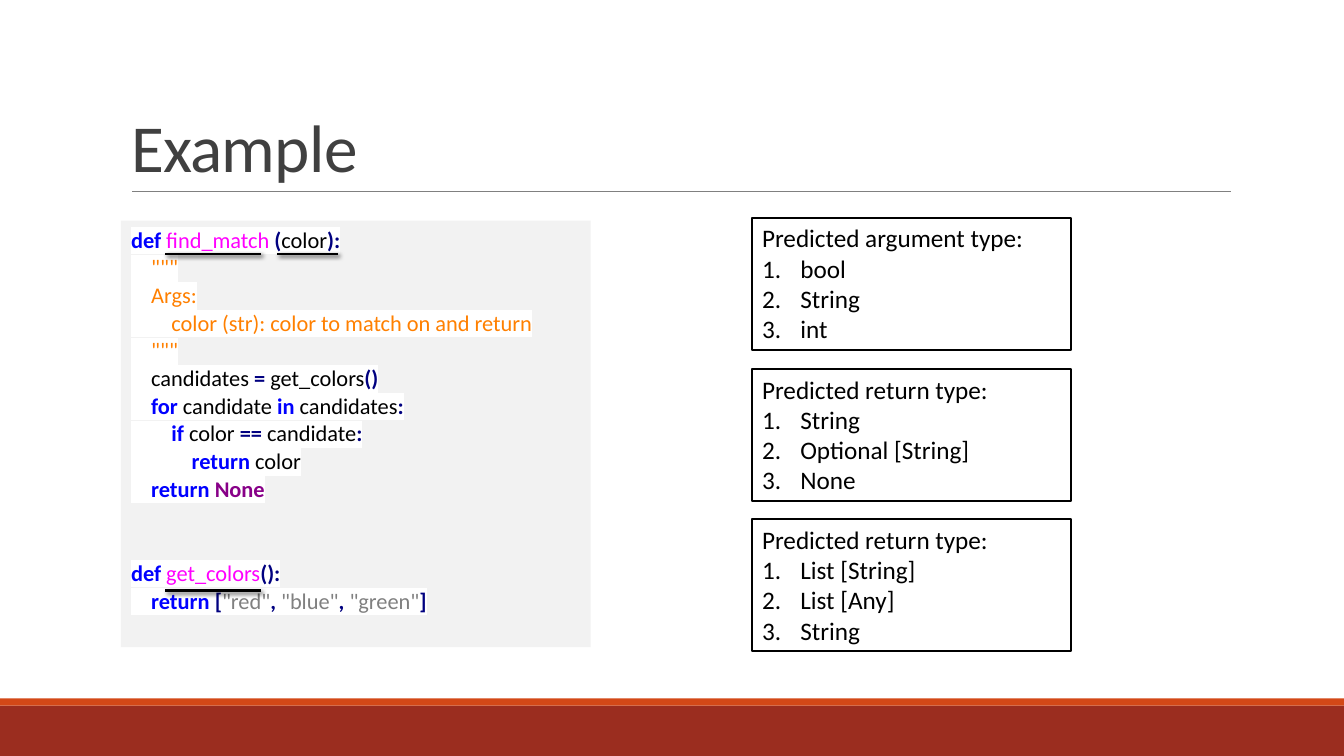
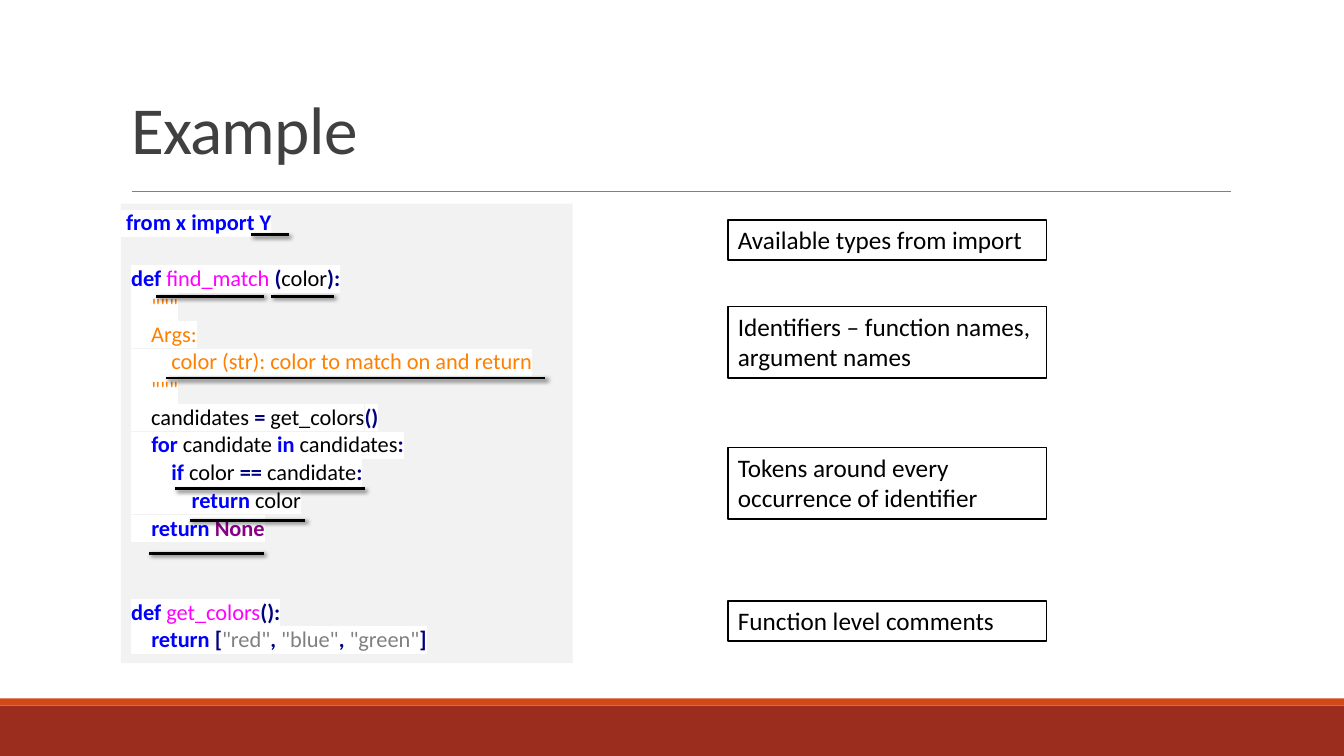
"""Build two slides that show type prediction on a Python example."""
from lxml.etree import SubElement
from pptx import Presentation
from pptx.dml.color import RGBColor
from pptx.enum.shapes import MSO_CONNECTOR, MSO_SHAPE
from pptx.enum.text import MSO_ANCHOR, MSO_AUTO_SIZE, PP_ALIGN
from pptx.oxml.ns import qn
from pptx.util import Inches, Pt

FONT = "Calibri"
WHITE = RGBColor(0xFF, 0xFF, 0xFF)
BLACK = RGBColor(0x00, 0x00, 0x00)
BRICK = RGBColor(0x9B, 0x2D, 0x1F)
ORANGE = RGBColor(0xD3, 0x48, 0x17)
RULE_GREY = RGBColor(0x80, 0x80, 0x80)
TITLE_GREY = RGBColor(0x40, 0x40, 0x40)
CODE_GREY = RGBColor(0xF2, 0xF2, 0xF2)
BLUE = RGBColor(0x00, 0x00, 0xFF)
NAVY = RGBColor(0x00, 0x00, 0x80)
MAGENTA = RGBColor(0xFF, 0x00, 0xFF)
AMBER = RGBColor(0xFF, 0x80, 0x00)
PURPLE = RGBColor(0x88, 0x00, 0x88)

KEYWORD = (BLUE, True)
SIGN = (NAVY, True)
PLAIN = (BLACK, False)
FUNCTION = (MAGENTA, False)
DOC = (AMBER, False)
CONSTANT = (PURPLE, True)
STRING = (RULE_GREY, False)

CODE_PITCH = 20.1

find_match_code = [
    [("def", KEYWORD), (" ", PLAIN), ("find_match ", FUNCTION), ("(", SIGN),
     ("color", PLAIN), ("):", SIGN)],
    [("    ", PLAIN), ('"""', DOC)],
    [("    Args:", DOC)],
    [("        color (str): color to match on and return", DOC)],
    [('    """', DOC)],
    [("    candidates ", PLAIN), ("=", SIGN), (" get_colors", PLAIN), ("()", SIGN)],
    [("    ", PLAIN), ("for", KEYWORD), (" candidate ", PLAIN), ("in", KEYWORD),
     (" candidates", PLAIN), (":", SIGN)],
    [("        ", PLAIN), ("if", KEYWORD), (" color ", PLAIN), ("==", SIGN),
     (" candidate", PLAIN), (":", SIGN)],
    [("            ", PLAIN), ("return", KEYWORD), (" color", PLAIN)],
    [("    ", PLAIN), ("return", KEYWORD), (" ", PLAIN), ("None", CONSTANT)],
]
get_colors_code = [
    [("def", KEYWORD), (" ", PLAIN), ("get_colors", FUNCTION), ("():", SIGN)],
    [("    ", PLAIN), ("return", KEYWORD), (" ", PLAIN), ("[", SIGN),
     ('"red"', STRING), (",", SIGN), (" ", PLAIN), ('"blue"', STRING),
     (",", SIGN), (" ", PLAIN), ('"green"', STRING), ("]", SIGN)],
]
import_code = [[(" from x import Y", KEYWORD)]]

# Each code block: lines, left indent, empty lines above
examples = [
    {
        "title_height": 1.59,
        "code_area": (1.2, 2.19, 4.66, 4.23),
        "code": [(find_match_code, 0.1, 0), (get_colors_code, 0.1, 2)],
        "notes_left": 7.46,
        "notes": [
            (2.16, 1.31, "Predicted argument type:", ["bool", "String", "int"]),
            (3.66, 1.31, "Predicted return type:", ["String", "Optional [String]", "None"]),
            (5.15, 1.31, "Predicted return type:", ["List [String]", "List [Any]", "String"]),
        ],
        "underlines": [(2.75, 3.35, 2.52), (1.64, 2.59, 2.52), (1.64, 2.59, 5.86)],
    },
    {
        "title_height": 1.41,
        "code_area": (1.2, 2.02, 4.48, 4.56),
        "code": [(import_code, 0, 0), (find_match_code, 0.1, 1), (get_colors_code, 0.1, 2)],
        "notes_left": 7.22,
        "notes": [
            (2.18, 0.4, "Available types from import", []),
            (3.04, 0.71, "Identifiers \u2013 function names, argument names", []),
            (4.44, 0.71, "Tokens around every occurrence of identifier", []),
            (5.96, 0.4, "Function level comments", []),
        ],
        "underlines": [
            (1.55, 2.62, 2.94), (1.65, 5.41, 3.75), (1.74, 3.62, 4.85),
            (1.88, 3.03, 5.16), (1.48, 2.62, 5.49), (2.69, 3.31, 2.94),
            (2.49, 2.87, 2.33),
        ],
    },
]


def add_box(slide, area, fill):
    box = slide.shapes.add_shape(MSO_SHAPE.RECTANGLE, *map(Inches, area))
    box.shadow.inherit = False
    box.fill.solid()
    box.fill.fore_color.rgb = fill
    box.line.fill.background()
    box.text_frame.word_wrap = True
    box.text_frame.vertical_anchor = MSO_ANCHOR.TOP
    return box


def add_line(slide, start, end, y, color, width):
    line = slide.shapes.add_connector(
        MSO_CONNECTOR.STRAIGHT, Inches(start), Inches(y), Inches(end), Inches(y))
    line.line.color.rgb = color
    line.line.width = Pt(width)
    effects = SubElement(line.element.spPr, qn("a:effectLst"))
    return line, effects


prs = Presentation()
prs.slide_width = Inches(13.33)
prs.slide_height = Inches(7.5)
layout = prs.slide_layouts[5]
slides = [prs.slides.add_slide(layout) for example in examples]

footer_band = add_box(slides[0], (0, 7, 13.33, 0.5), BRICK)
footer_stripe = add_box(slides[0], (0, 6.93, 13.33, 0.07), ORANGE)
title_rule, no_effects = add_line(slides[0], 1.31, 12.21, 1.9, RULE_GREY, 0.5)
for shared in (footer_band, footer_stripe, title_rule):
    layout.shapes.element.append(shared.element)

for slide, example in zip(slides, examples):
    title = slide.shapes.title
    title.left, title.top = Inches(1.2), Inches(0.31)
    title.width, title.height = Inches(11), Inches(example["title_height"])
    title.text_frame.text = "Example"
    title.text_frame.auto_size = MSO_AUTO_SIZE.NONE
    title.text_frame.vertical_anchor = MSO_ANCHOR.BOTTOM
    heading = title.text_frame.paragraphs[0]
    heading.alignment = PP_ALIGN.LEFT
    heading.line_spacing = 0.85
    heading_font = heading.runs[0].font
    heading_font.name = FONT
    heading_font.size = Pt(48)
    heading_font.color.rgb = TITLE_GREY
    heading.runs[0]._r.get_or_add_rPr().set("spc", "-50")

    code_frame = add_box(slide, example["code_area"], CODE_GREY).text_frame
    code_frame.margin_left = code_frame.margin_right = 0
    code_line = None
    for block, indent, empty_lines in example["code"]:
        for number, tokens in enumerate(block):
            code_line = code_frame.add_paragraph() if code_line else code_frame.paragraphs[0]
            code_line.alignment = PP_ALIGN.LEFT
            code_line.space_before = Pt(0 if number else empty_lines * CODE_PITCH)
            code_line.space_after = Pt(0.6)
            code_line._p.get_or_add_pPr().set("marL", str(Inches(indent)))
            for text, (color, bold) in tokens:
                token = code_line.add_run()
                token.text = text
                token.font.size = Pt(16)
                token.font.bold = bold
                token.font.color.rgb = color
                highlight = SubElement(token._r.get_or_add_rPr(), qn("a:highlight"))
                SubElement(highlight, qn("a:srgbClr"), val=str(WHITE))
                token.font.name = FONT

    for top, height, label, predictions in example["notes"]:
        note = add_box(slide, (example["notes_left"], top, 3.16, height), WHITE)
        note.line.color.rgb = BLACK
        note.line.width = Pt(1.25)
        note.text_frame.text = "\n".join([label, *predictions])
        for rank, entry in enumerate(note.text_frame.paragraphs):
            entry.alignment = PP_ALIGN.LEFT
            entry.runs[0].font.name = FONT
            entry.runs[0].font.size = Pt(18)
            entry.runs[0].font.color.rgb = BLACK
            if rank:
                properties = entry._p.get_or_add_pPr()
                properties.set("marL", str(Inches(0.38)))
                properties.set("indent", str(Inches(-0.38)))
                SubElement(properties, qn("a:buFont"), typeface="+mj-lt")
                SubElement(properties, qn("a:buAutoNum"), type="arabicPeriod")

    for start, end, y in example["underlines"]:
        underline, effects = add_line(slide, start, end, y, BLACK, 2)
        shadow = SubElement(effects, qn("a:outerShdw"), blurRad=str(Pt(3)),
                            dist=str(Pt(2)), dir="2700000", rotWithShape="0")
        shadow_color = SubElement(shadow, qn("a:srgbClr"), val=str(BLACK))
        SubElement(shadow_color, qn("a:alpha"), val="60000")

prs.save("out.pptx")
